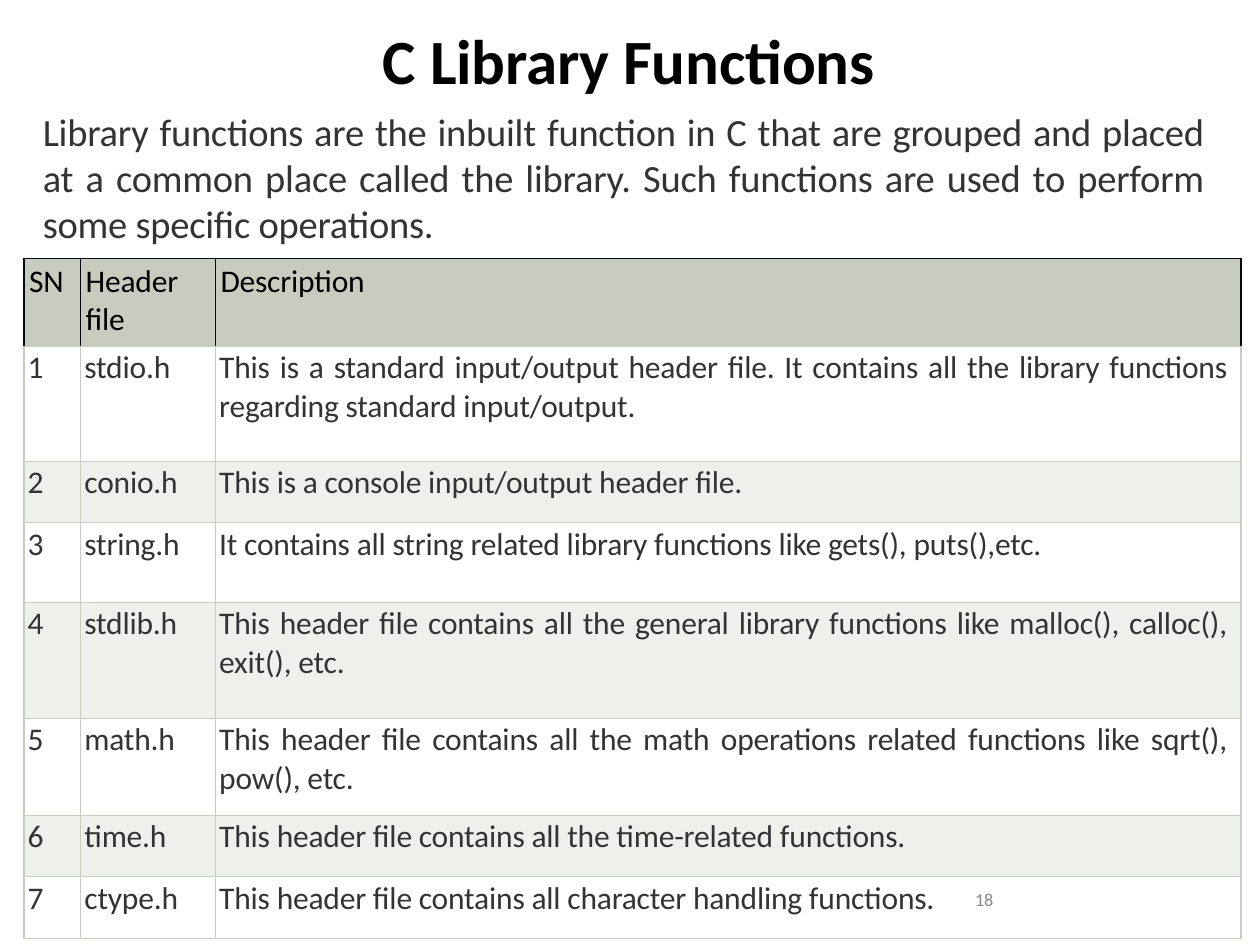
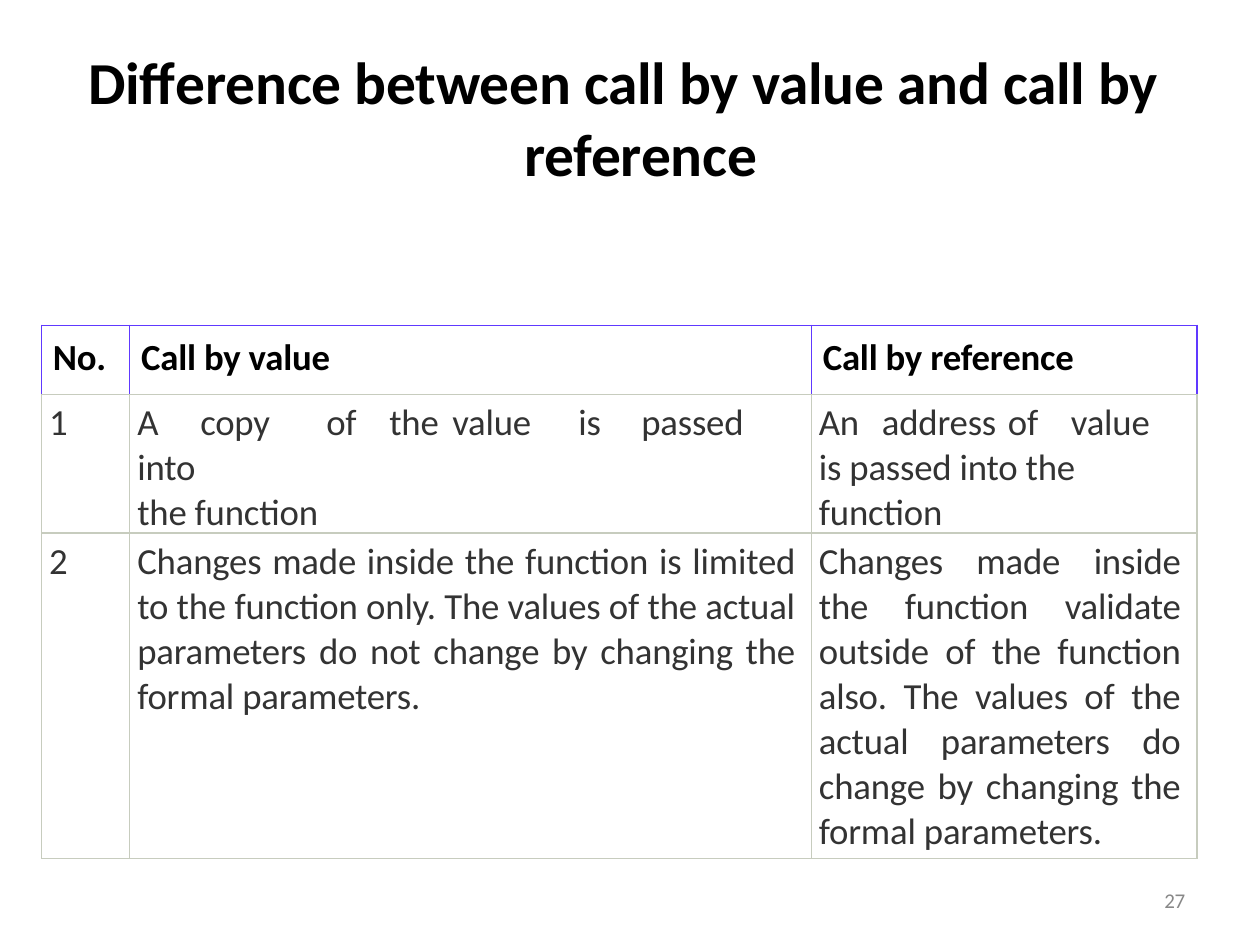
import pptx
import pptx.dml.color
import pptx.enum.text
import pptx.oxml.ns
import pptx.util
from lxml import etree

Inches, Pt = pptx.util.Inches, pptx.util.Pt
ALIGN = pptx.enum.text.PP_ALIGN
FONT = "Calibri"
BLACK, BODY, MUTED = "000000", "333333", "888888"
SAGE, PALE, INK, VIOLET = "C7CCBE", "EEF1EB", "080616", "6039FF"

LIBRARY_ROWS = [
    ("SN", "Header file", "Description"),
    ("1", "stdio.h", "This is a standard input/output header file. It contains all the "
     "library functions regarding standard input/output."),
    ("2", "conio.h", "This is a console input/output header file."),
    ("3", "string.h", "It contains all string related library functions like gets(), puts(),etc."),
    ("4", "stdlib.h", "This header file contains all the general library functions like "
     "malloc(), calloc(), exit(), etc."),
    ("5", "math.h", "This header file contains all the math operations related functions "
     "like sqrt(), pow(), etc."),
    ("6", "time.h", "This header file contains all the time-related functions."),
    ("7", "ctype.h", "This header file contains all character handling functions."),
]
CALL_ROWS = [
    ("No.", "Call by value", "Call by reference"),
    ("1", "A\tcopy\tof\tthe\tvalue\tis\tpassed\tinto\vthe function",
     "An\taddress\tof\tvalue\vis passed into the function"),
    ("2", "Changes made inside the function is limited to the function only. The values "
     "of the actual parameters do not change by changing the formal parameters.",
     "Changes made inside the function validate outside of the function also. The values "
     "of the actual parameters do change by changing the formal parameters."),
]
VALUE_TABS = (0.41, 1.14, 1.56, 2.13, 2.94, 3.3, 4.29)
REFERENCE_TABS = (0.54, 1.62, 2.02)


def rgb(code):
    """Turn a hex string into a colour."""
    return pptx.dml.color.RGBColor.from_string(code)


def sub(parent, tag, **attributes):
    """Append a drawing element to a parent."""
    return etree.SubElement(parent, pptx.oxml.ns.qn(tag), attributes)


def style_run(run, size, color, bold=False):
    """Apply the shared typeface and tight tracking to a run."""
    run.font.name, run.font.size, run.font.bold = FONT, Pt(size), bold
    run.font.color.rgb = rgb(color)
    run.font._element.set("spc", "-10")


def write(paragraph, text, size, color, bold=False, align=ALIGN.LEFT, left=0, first=0):
    """Fill and format one paragraph."""
    paragraph.text = text
    paragraph.alignment = align
    properties = paragraph._p.get_or_add_pPr()
    properties.set("marL", str(Inches(left)))
    properties.set("indent", str(Inches(first)))
    for run in paragraph.runs:
        style_run(run, size, color, bold)


def set_tabs(paragraph, stops):
    """Give a paragraph left tab stops."""
    tabs = sub(paragraph._p.get_or_add_pPr(), "a:tabLst")
    for stop in stops:
        sub(tabs, "a:tab", pos=str(Inches(stop)), algn="l")


def add_frame(slide, box, top=0, right=0):
    """Add a wrapping text box and return its text frame."""
    frame = slide.shapes.add_textbox(*map(Inches, box)).text_frame
    frame.word_wrap = True
    frame.margin_left = frame.margin_bottom = 0
    frame.margin_top, frame.margin_right = Inches(top), Inches(right)
    return frame


def set_borders(cell, left, top, right, bottom):
    """Draw the four cell edges in the given colours."""
    properties = cell._tc.get_or_add_tcPr()
    for tag, color in zip(("a:lnL", "a:lnR", "a:lnT", "a:lnB"), (left, right, top, bottom)):
        line = sub(properties, tag, w=str(Pt(0.75)))
        sub(sub(line, "a:solidFill"), "a:srgbClr", val=color)


def add_grid(slide, box, rows, widths, heights, size, head, body, edge, fills, justified):
    """Add a table; head and body give the top margin, indent and right margin of a cell."""
    table = slide.shapes.add_table(len(rows), len(widths), *map(Inches, box)).table
    table.first_row = table.horz_banding = False
    for column, width in zip(table.columns, widths):
        column.width = Inches(width)
    for r, (row, height) in enumerate(zip(rows, heights)):
        table.rows[r].height = Inches(height)
        is_head = r == 0
        top, indent, right = head if is_head else body
        for c, text in enumerate(row):
            cell = table.cell(r, c)
            cell.margin_left = cell.margin_bottom = 0
            cell.margin_top, cell.margin_right = Inches(top), Inches(right)
            outline = edge if is_head else SAGE
            set_borders(cell, outline, outline, outline, SAGE)
            if fills[r]:
                cell.fill.solid()
                cell.fill.fore_color.rgb = rgb(fills[r])
            else:
                cell.fill.background()
            write(cell.text_frame.paragraphs[0], text, size, BLACK if is_head else BODY,
                  is_head and not fills[r],
                  ALIGN.JUSTIFY if (r, c) in justified else ALIGN.LEFT, indent)
    return table


def library_slide(slide):
    """Build the slide on C library functions."""
    frame = add_frame(slide, (0.33, 0, 9.32, 1.95), 0.17, 0.09)
    write(frame.paragraphs[0], "C Library Functions", 36, BLACK, True, ALIGN.CENTER, 0.09)
    intro = frame.add_paragraph()
    write(intro, "Library functions are the inbuilt function in C that are grouped and placed "
          "at a common place called the library. Such functions are used to perform some "
          "specific operations.", 22, BODY, align=ALIGN.JUSTIFY, left=0.01)
    intro.space_before = Pt(6.2)

    fills = [SAGE] + [None if n % 2 else PALE for n in range(1, len(LIBRARY_ROWS))]
    table = add_grid(slide, (0.19, 2.05, 9.66, 5.4), LIBRARY_ROWS, (0.45, 1.07, 8.14),
                     (0.7, 0.91, 0.49, 0.63, 0.92, 0.77, 0.49, 0.49), 18,
                     (0.03, 0.04, 0), (0.02, 0.03, 0.11), INK, fills,
                     [(r, 2) for r in range(1, 7)])
    last_line = table.cell(7, 2).text_frame.paragraphs[0]
    set_tabs(last_line, [7.52])
    number = last_line.add_run()
    number.text = "\t18"
    style_run(number, 18, MUTED)
    number.font._element.set("baseline", "9000")


def call_slide(slide):
    """Build the slide comparing call by value and call by reference."""
    page = add_frame(slide, (9.2, 7.07, 0.25, 0.19)).paragraphs[0]
    write(page, "27", 12, MUTED, left=0.04)
    page.line_spacing = Pt(12.4)
    title = add_frame(slide, (0.68, 0.33, 8.64, 1.16), 0.03).paragraphs[0]
    write(title, "Difference between call by value and call by reference", 34, BLACK, True,
          left=3.48, first=-3.46)

    table = add_grid(slide, (0.33, 2.58, 9.17, 3.96), CALL_ROWS, (0.7, 5.41, 3.06),
                     (0.55, 1.1, 2.58), 21, (0.08, 0.09, 0), (0.05, 0.06, 0.13), VIOLET,
                     [None] * 3, [(2, 1), (2, 2)])
    for column, stops in ((1, VALUE_TABS), (2, REFERENCE_TABS)):
        set_tabs(table.cell(1, column).text_frame.paragraphs[0], stops)


def main():
    """Build and save the presentation."""
    deck = pptx.Presentation()
    deck.slide_width, deck.slide_height = Inches(10), Inches(7.5)
    for build in (library_slide, call_slide):
        build(deck.slides.add_slide(deck.slide_layouts[6]))
    deck.save("out.pptx")


if __name__ == "__main__":
    main()
